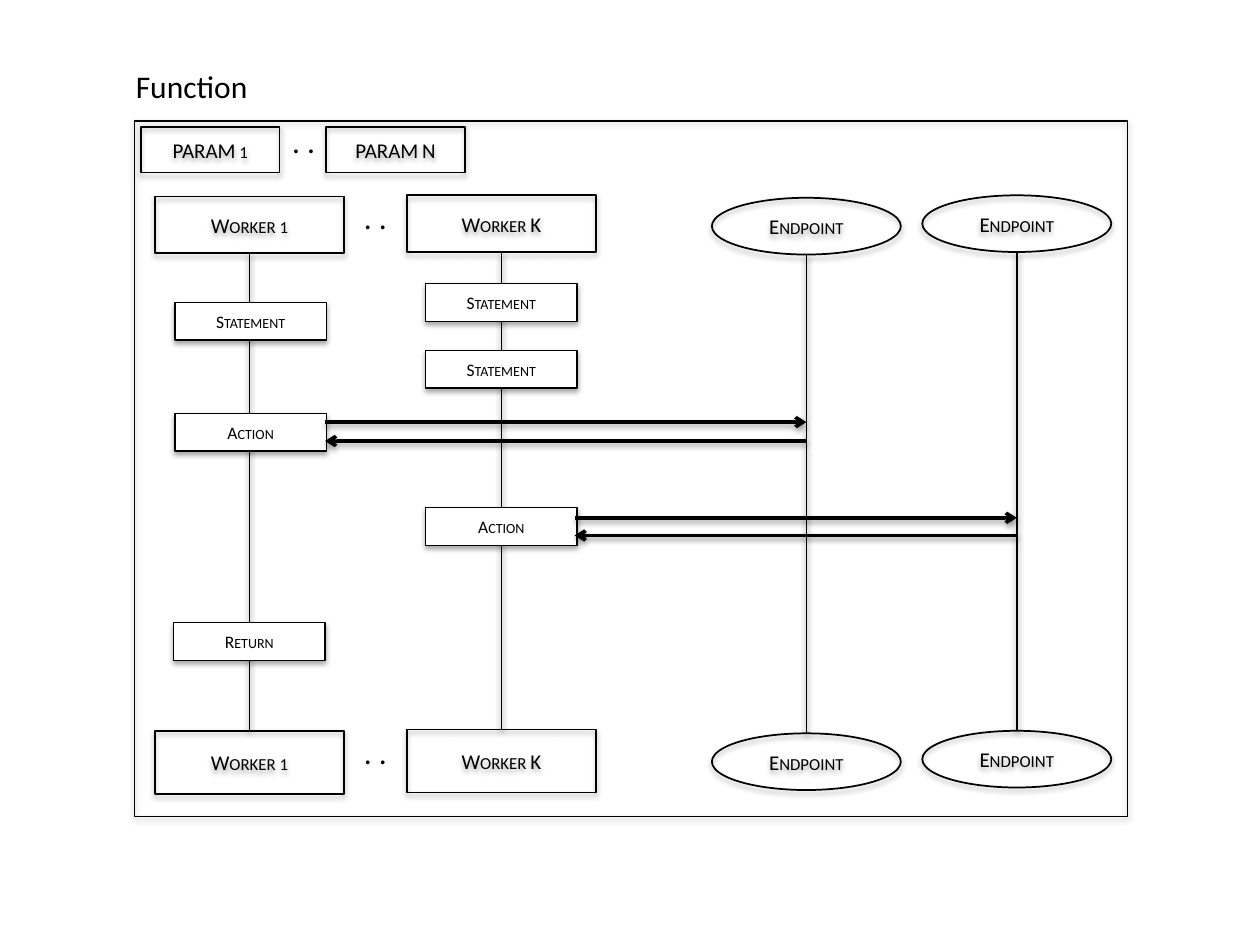
from dataclasses import dataclass
from typing import Optional

from lxml.etree import SubElement
from pptx import Presentation
from pptx.dml.color import RGBColor
from pptx.enum.shapes import MSO_CONNECTOR, MSO_SHAPE
from pptx.enum.text import MSO_ANCHOR, MSO_AUTO_SIZE, PP_ALIGN
from pptx.oxml.ns import qn
from pptx.util import Emu, Inches, Pt

BLACK = RGBColor(0, 0, 0)
WHITE = RGBColor(255, 255, 255)
FONT = "Calibri"

# The slide is a grid of 100 columns by 75 rows of square cells.
CELL = Inches(0.1)
HEAD_WIDTH, HEAD_HEIGHT = 15, 4.5
STEP_WIDTH, STEP_HEIGHT = 12, 3
PARAM_WIDTH, PARAM_HEIGHT = 11, 3.6
PARAM_ROW = 10.1


@dataclass(frozen=True)
class Lifeline:
    """A participant with a head, a foot and a line between them."""
    label: str
    outline: MSO_SHAPE
    axis: float
    head_row: float
    foot_row: float
    foot_height: float


@dataclass(frozen=True)
class Step:
    """A box on a worker's lifeline."""
    label: str
    col: float
    row: float


@dataclass(frozen=True)
class Message:
    """An arrow between two columns on one row."""
    start: float
    end: float
    row: float


@dataclass(frozen=True)
class Caption:
    """Free text without a box."""
    text: str
    col: float
    row: float
    width: float


LIFELINES = [
    Lifeline("Worker 1", MSO_SHAPE.RECTANGLE, 19.8, 15.6, 58, 5),
    Lifeline("Endpoint", MSO_SHAPE.OVAL, 64, 15.7, 58.2, HEAD_HEIGHT),
    Lifeline("Endpoint", MSO_SHAPE.OVAL, 80.7, 15.5, 58, HEAD_HEIGHT),
    Lifeline("Worker K", MSO_SHAPE.RECTANGLE, 39.8, 15.5, 57.9, 5),
]
STEPS = [
    Step("Statement", 13.9, 24),
    Step("Action", 13.9, 32.8),
    Step("Return", 13.8, 49.4),
    Step("Statement", 33.8, 22.5),
    Step("Statement", 33.8, 27.8),
    Step("Action", 33.8, 40.3),
]
MESSAGES = [
    Message(25.8, 64, 33.5),
    Message(64, 25.8, 35),
    Message(45.6, 80.7, 41.1),
    Message(80.7, 45.6, 42.5),
]
PARAMS = {"PARAM 1": 11.2, "PARAM N": 25.9}
CAPTIONS = [
    Caption("Function", 9.8, 4.8, 11.4),
    Caption(". .", 22.2, 9.2, 7.5),
    Caption(". .", 27.9, 15.2, 7.5),
    Caption(". .", 27.9, 57.7, 7.5),
]


def cells(count: float) -> Emu:
    """Turn a number of grid cells into a length."""
    return Emu(round(count * CELL))


def add_shadow(properties, distance: int, opacity: int) -> None:
    """Put a soft downward shadow into a shape's properties."""
    effects = properties.find(qn("a:effectLst"))
    if effects is None:
        effects = SubElement(properties, qn("a:effectLst"))
    shadow = SubElement(effects, qn("a:outerShdw"), blurRad="40000",
                        dist=str(distance), dir="5400000", rotWithShape="0")
    color = SubElement(shadow, qn("a:srgbClr"), val=str(BLACK))
    SubElement(color, qn("a:alpha"), val=str(opacity * 1000))


def write(frame, text: str, size: float, small_caps: bool = False) -> None:
    """Add one run to the first paragraph of a text frame."""
    run = frame.paragraphs[0].add_run()
    run.text = text
    run.font.name = FONT
    run.font.size = Pt(size)
    run.font.color.rgb = BLACK
    if small_caps:
        run.font._element.set("cap", "small")


def add_box(slide, outline: MSO_SHAPE, col: float, row: float, width: float,
            height: float, label: str = "", size: float = 12,
            weight: float = 1, fill: Optional[RGBColor] = None) -> None:
    """Draw an outlined shape with a shadow and a centred label."""
    box = slide.shapes.add_shape(outline, cells(col), cells(row),
                                 cells(width), cells(height))
    if fill is None:
        box.fill.background()
    else:
        box.fill.solid()
        box.fill.fore_color.rgb = fill
    box.line.color.rgb = BLACK
    box.line.width = Pt(weight)
    box.shadow.inherit = False
    add_shadow(box._element.spPr, 23000, 35)
    if label:
        frame = box.text_frame
        frame.vertical_anchor = MSO_ANCHOR.MIDDLE
        frame.paragraphs[0].alignment = PP_ALIGN.CENTER
        write(frame, label, size, small_caps=True)


def add_line(slide, start: tuple[float, float], end: tuple[float, float],
             weight: float, arrow: bool = False) -> None:
    """Draw a straight line, with an arrowhead at its end if asked."""
    line = slide.shapes.add_connector(
        MSO_CONNECTOR.STRAIGHT, *map(cells, start), *map(cells, end))
    line.line.color.rgb = BLACK
    line.line.width = Pt(weight)
    if arrow:
        SubElement(line.line._get_or_add_ln(), qn("a:tailEnd"), type="arrow")
    add_shadow(line._element.spPr, 20000, 38)


def add_lifeline(slide, lifeline: Lifeline) -> None:
    """Draw a participant's head, foot and connecting line."""
    left = lifeline.axis - HEAD_WIDTH / 2
    for row, height in ((lifeline.head_row, HEAD_HEIGHT),
                        (lifeline.foot_row, lifeline.foot_height)):
        add_box(slide, lifeline.outline, left, row, HEAD_WIDTH, height,
                lifeline.label)
    add_line(slide, (lifeline.axis, lifeline.head_row + HEAD_HEIGHT),
             (lifeline.axis, lifeline.foot_row), 1)


def add_caption(slide, caption: Caption) -> None:
    """Place free text."""
    box = slide.shapes.add_textbox(cells(caption.col), cells(caption.row),
                                   cells(caption.width), cells(4))
    box.text_frame.word_wrap = True
    box.text_frame.auto_size = MSO_AUTO_SIZE.SHAPE_TO_FIT_TEXT
    write(box.text_frame, caption.text, 18)


def main() -> None:
    """Build the sequence diagram and save it."""
    deck = Presentation()
    deck.slide_width, deck.slide_height = cells(100), cells(75)
    slide = deck.slides.add_slide(deck.slide_layouts[6])

    for lifeline in LIFELINES:
        add_lifeline(slide, lifeline)
    for step in STEPS:
        add_box(slide, MSO_SHAPE.RECTANGLE, step.col, step.row, STEP_WIDTH,
                STEP_HEIGHT, step.label, size=10, weight=0.75, fill=WHITE)
    for message in MESSAGES:
        add_line(slide, (message.start, message.row),
                 (message.end, message.row), 2, arrow=True)
    add_box(slide, MSO_SHAPE.RECTANGLE, 10.7, 9.6, 78.8, 55.2, weight=0.75)
    for label, col in PARAMS.items():
        add_box(slide, MSO_SHAPE.RECTANGLE, col, PARAM_ROW, PARAM_WIDTH,
                PARAM_HEIGHT, label)
    for caption in CAPTIONS:
        add_caption(slide, caption)

    deck.save("out.pptx")


main()
